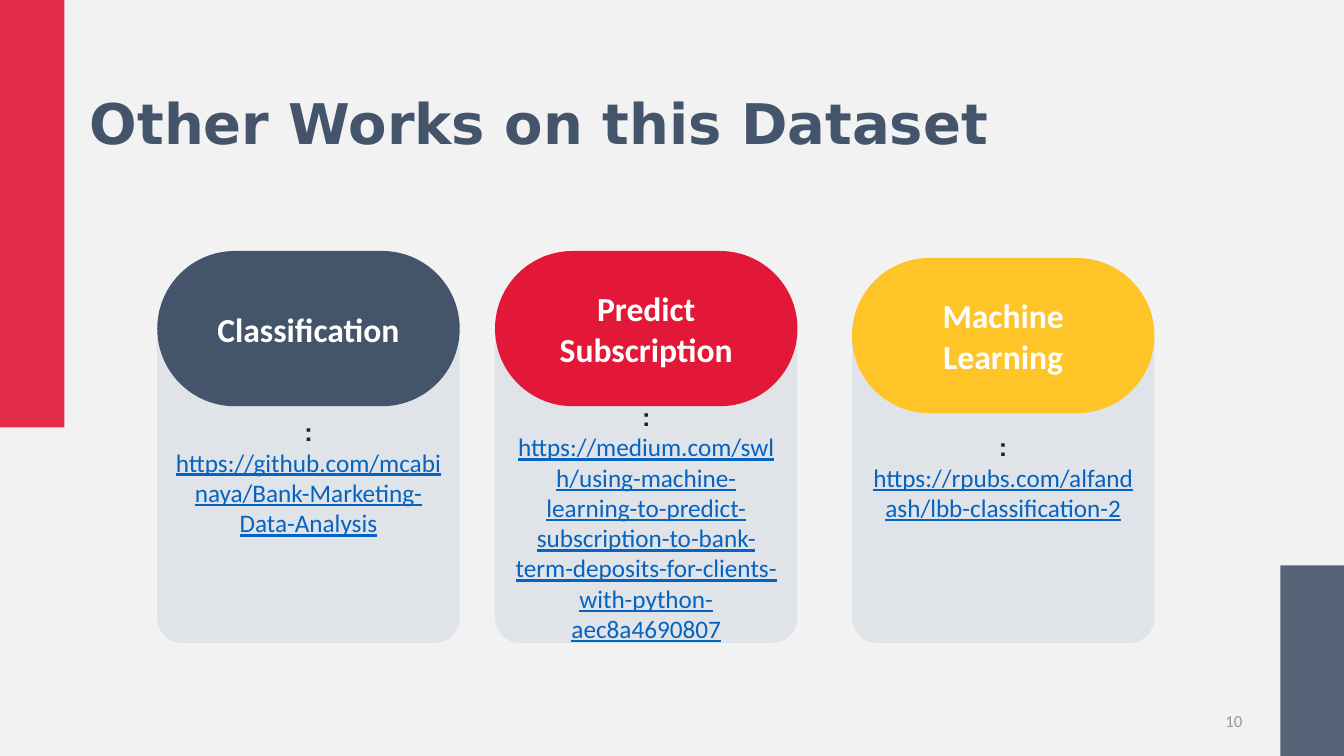
from lxml import etree
from pptx import Presentation
from pptx.dml.color import RGBColor
from pptx.enum import shapes, text
from pptx.oxml.ns import qn
from pptx.util import Inches, Pt

# Content
TITLE = "Other Works on this Dataset"
PAGE = "10"
# heading, link, pill colour, left, pill top, space above the link
WORKS = [
    ("Classification",
     "https://github.com/mcabinaya/Bank-Marketing-Data-Analysis",
     "navy", 1.56, 2.49, 0.96),
    ("Predict Subscription",
     "https://medium.com/swlh/using-machine-learning-to-predict-subscription"
     "-to-bank-term-deposits-for-clients-with-python-aec8a4690807",
     "red", 4.91, 2.49, 0.81),
    ("Machine Learning",
     "https://rpubs.com/alfandash/lbb-classification-2",
     "yellow", 8.45, 2.56, 1.11),
]
# colour, left, top, width, height
BARS = [("red", 0, 0, 0.64, 4.24), ("navy", 12.7, 5.61, 0.63, 1.89)]
COLORS = {
    "back": "F2F2F2", "navy": "44546A", "red": "E31737", "yellow": "FFC427",
    "card": "ADB9CA", "link": "0563C1", "ink": "202124", "white": "FFFFFF",
    "page": "9499A1",
}
CARD_TOP, CARD_W, CARD_H, PILL_H = 3.1, 3, 3.28, 1.54


def color(name):
    return RGBColor.from_string(COLORS[name])


def add_block(kind, fill, left, top, width, height, opacity=100):
    sp = slide.shapes.add_shape(kind, Inches(left), Inches(top),
                                Inches(width), Inches(height))
    sp.shadow.inherit = False
    sp.fill.solid()
    sp.fill.fore_color.rgb = color(fill)
    sp.line.fill.background()
    if opacity < 100:
        clr = sp.fill._xPr.find(qn("a:solidFill"))[0]
        etree.SubElement(clr, qn("a:alpha"), val=str(opacity * 1000))
    return sp


def add_run(p, words, size, fill, font="Calibri", bold=False, underline=False):
    r = p.add_run()
    r.text = words
    r.font.name, r.font.size = font, Pt(size)
    r.font.bold, r.font.underline = bold, underline
    r.font.color.rgb = color(fill)


def set_up_text(sp, anchor, align):
    tf = sp.text_frame
    tf.word_wrap = True
    tf.vertical_anchor = anchor
    p = tf.paragraphs[0]
    p.alignment = align
    return tf, p


prs = Presentation()
prs.slide_width, prs.slide_height = Inches(13.33), Inches(7.5)
slide = prs.slides.add_slide(prs.slide_layouts[5])
slide.background.fill.solid()
slide.background.fill.fore_color.rgb = color("back")
MIDDLE, TOP = text.MSO_ANCHOR.MIDDLE, text.MSO_ANCHOR.TOP
ALIGN = text.PP_ALIGN
ROUNDED = shapes.MSO_SHAPE.ROUNDED_RECTANGLE

# Side bars
for fill, *box in BARS:
    add_block(shapes.MSO_SHAPE.RECTANGLE, fill, *box, opacity=90)

# Title
title = slide.shapes.title
title.left, title.top = Inches(0.89), Inches(0.95)
title.width, title.height = Inches(11.82), Inches(0.61)
tf, p = set_up_text(title, MIDDLE, ALIGN.LEFT)
tf.auto_size = text.MSO_AUTO_SIZE.NONE
tf.margin_left = tf.margin_right = tf.margin_top = tf.margin_bottom = 0
p.line_spacing = 0.9
add_run(p, TITLE, 40, "navy", "DejaVu Sans", bold=True)

# Page number
number = slide.shapes.add_textbox(Inches(9.42), Inches(6.95),
                                  Inches(3), Inches(0.4))
tf, p = set_up_text(number, MIDDLE, ALIGN.RIGHT)
add_run(p, PAGE, 12, "page")

# Cards with a heading pill over each
for heading, link, fill, left, pill_top, space in WORKS:
    card = add_block(ROUNDED, "card", left, CARD_TOP, CARD_W, CARD_H, opacity=25)
    card.adjustments[0] = 0.084
    tf, p = set_up_text(card, TOP, ALIGN.CENTER)
    tf.margin_top, tf.margin_bottom = Inches(space), 0
    add_run(p, ": ", 18, "ink", "Arial", bold=True)
    add_run(p, link, 18, "link", underline=True)

    pill = add_block(ROUNDED, fill, left, pill_top, CARD_W, PILL_H)
    pill.adjustments[0] = 0.5
    tf, p = set_up_text(pill, MIDDLE, ALIGN.CENTER)
    add_run(p, heading, 24, "white", bold=True)

prs.save("out.pptx")
